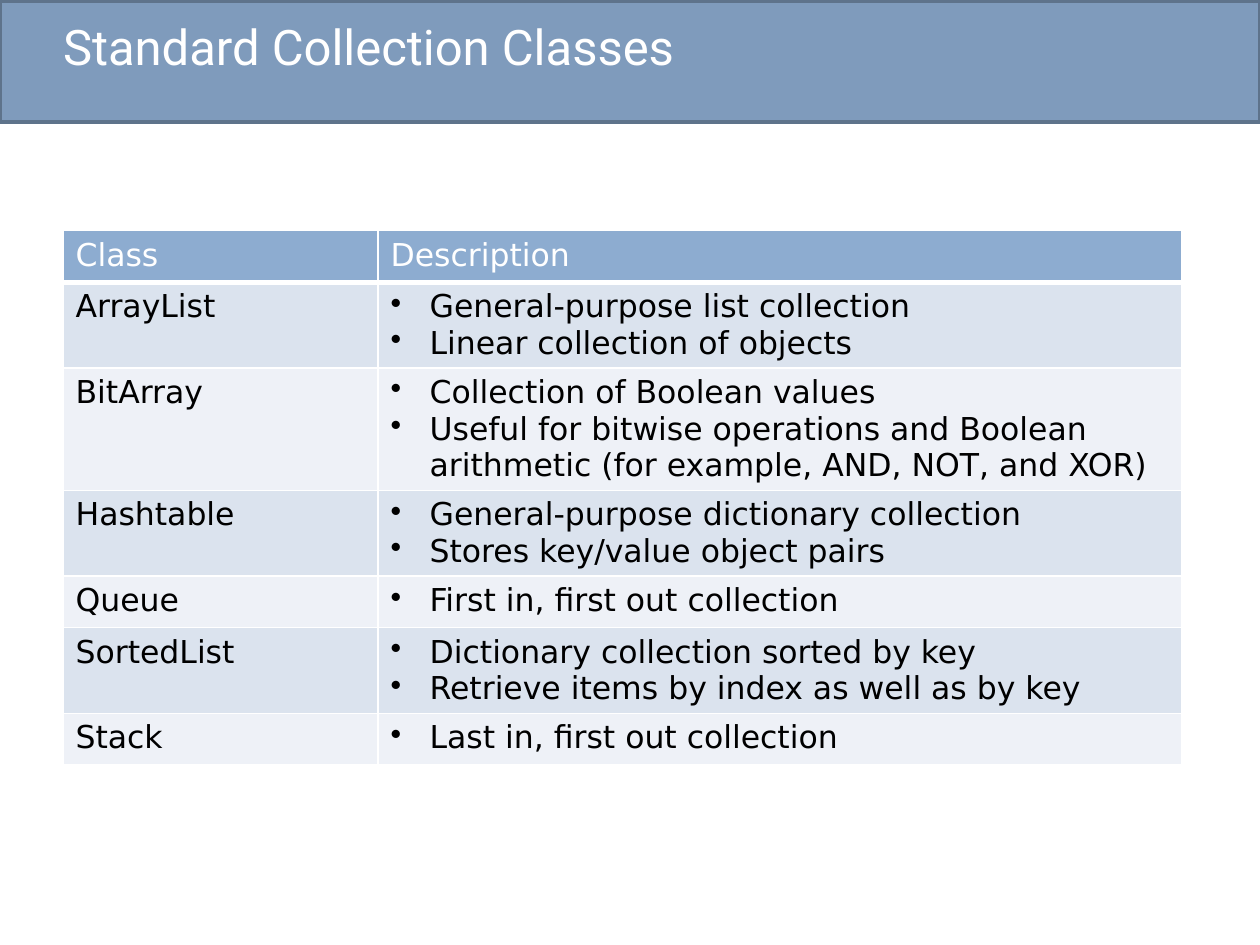
from lxml import etree
from pptx import Presentation
from pptx.dml.color import RGBColor
from pptx.enum import text
from pptx.oxml import ns
from pptx.util import Inches, Pt

COLORS = {
    "white": "FFFFFF",
    "black": "000000",
    "banner": "7F9BBC",
    "banner_line": "5E738B",
    "header": "8DACD0",
    "odd_row": "DBE3EE",
    "even_row": "EEF1F7",
}
ROWS = [
    ("Class", ["Description"]),
    ("ArrayList", ["General-purpose list collection", "Linear collection of objects"]),
    ("BitArray", ["Collection of Boolean values",
                  "Useful for bitwise operations and Boolean arithmetic "
                  "(for example, AND, NOT, and XOR)"]),
    ("Hashtable", ["General-purpose dictionary collection", "Stores key/value object pairs"]),
    ("Queue", ["First in, first out collection"]),
    ("SortedList", ["Dictionary collection sorted by key",
                    "Retrieve items by index as well as by key"]),
    ("Stack", ["Last in, first out collection"]),
]


def color(name):
    return RGBColor.from_string(COLORS[name])


def add_borders(cell, bottom_width):
    """Draw white borders of 1 pt, with the bottom one as given; call before filling."""
    properties = cell._tc.get_or_add_tcPr()
    for side, width in zip("LRTB", (1, 1, 1, bottom_width)):
        line = etree.SubElement(properties, ns.qn(f"a:ln{side}"), w=str(Pt(width)))
        fill = etree.SubElement(line, ns.qn("a:solidFill"))
        etree.SubElement(fill, ns.qn("a:srgbClr"), val=COLORS["white"])


prs = Presentation()
prs.slide_width, prs.slide_height = Inches(10), Inches(7.5)
slide = prs.slides.add_slide(prs.slide_layouts[5])

# Title on its banner
title = slide.shapes.title
title.left, title.top = Inches(0.5), Inches(0)
title.width, title.height = Inches(8.5), Inches(0.81)
frame = title.text_frame
frame.text = "Standard Collection Classes"
frame.auto_size = text.MSO_AUTO_SIZE.NONE
frame.vertical_anchor = text.MSO_ANCHOR.MIDDLE
frame.margin_left = Inches(0)
heading = frame.paragraphs[0]
heading.alignment = text.PP_ALIGN.LEFT
heading.line_spacing = 0.85
heading.font.name, heading.font.size = "Roboto", Pt(28)
heading.font.color.rgb = color("white")

banner = slide.shapes.add_shape(1, Inches(0), Inches(0.01), Inches(10), Inches(0.96))
banner.shadow.inherit = False
banner.fill.solid()
banner.fill.fore_color.rgb = color("banner")
banner.line.color.rgb = color("banner_line")
banner.line.width = Pt(2)
title.element.addprevious(banner.element)

# Table of classes
row_height = Inches(0.41)
classes = slide.shapes.add_table(len(ROWS), 2, Inches(0.5), Inches(1.83),
                                 Inches(8.88), row_height * len(ROWS)).table
classes.columns[0].width, classes.columns[1].width = Inches(2.5), Inches(6.38)

for r, (class_name, descriptions) in enumerate(ROWS):
    classes.rows[r].height = row_height
    is_header = r == 0
    row_fill = "header" if is_header else "odd_row" if r % 2 else "even_row"
    for c, lines in enumerate(([class_name], descriptions)):
        cell = classes.cell(r, c)
        add_borders(cell, 3 if is_header else 1)
        cell.fill.solid()
        cell.fill.fore_color.rgb = color(row_fill)
        cell.text = "\n".join(lines)
        for paragraph in cell.text_frame.paragraphs:
            paragraph.font.name, paragraph.font.size = "DejaVu Sans", Pt(18)
            paragraph.font.bold = False
            paragraph.font.color.rgb = color("white" if is_header else "black")
            if c == 1 and not is_header:
                bullet = paragraph._p.get_or_add_pPr()
                bullet.set("marL", str(Inches(0.31)))
                bullet.set("indent", str(-Inches(0.31)))
                mark = etree.Element(ns.qn("a:buChar"), char="•")
                bullet.find(ns.qn("a:defRPr")).addprevious(mark)

prs.save("out.pptx")
